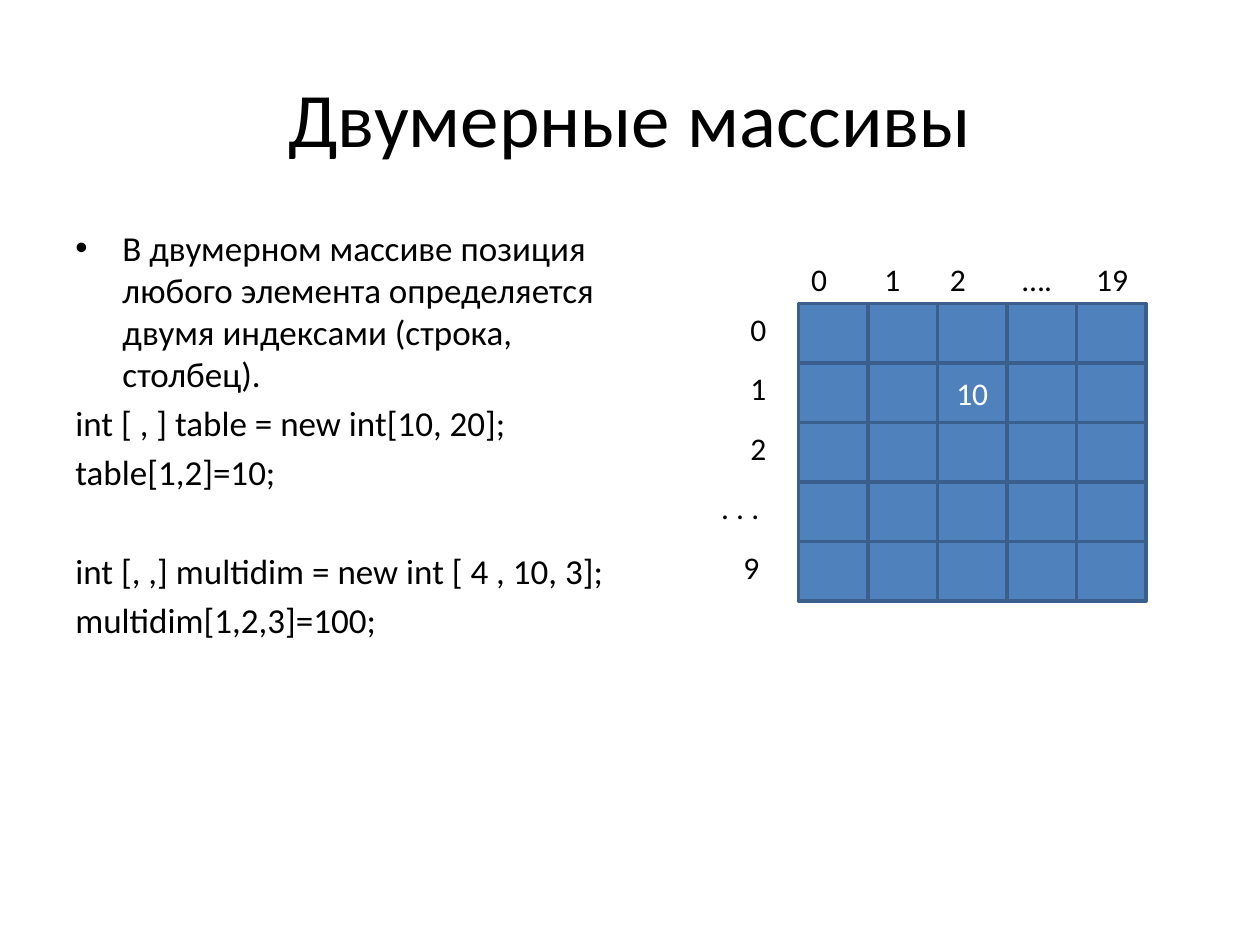
import pptx
import pptx.util
import pptx.dml.color
import pptx.enum.shapes
import pptx.enum.text
import pptx.oxml.ns
import lxml.etree

Cm, Pt = pptx.util.Cm, pptx.util.Pt
RGBColor = pptx.dml.color.RGBColor
ALIGN = pptx.enum.text.PP_ALIGN
ANCHOR = pptx.enum.text.MSO_ANCHOR
qn = pptx.oxml.ns.qn

BLACK = RGBColor(0x00, 0x00, 0x00)
WHITE = RGBColor(0xFF, 0xFF, 0xFF)
BLUE = RGBColor(0x4F, 0x81, 0xBD)
DARK_BLUE = RGBColor(0x3A, 0x5F, 0x8C)


class SlideBuilder:
    """Holds the text style and the current slide."""

    font = "Calibri"

    def __init__(self, prs):
        """Start a title-only slide."""
        self.s = prs.slides.add_slide(prs.slide_layouts[5])

    def run(self, p, text, size=18, color=BLACK):
        """Add one styled run to a paragraph."""
        r = p.add_run()
        r.text = text
        r.font.name = self.font
        r.font.size = Pt(size)
        r.font.color.rgb = color

    def title(self, text, x, y, w, h):
        """Place and fill the title placeholder."""
        sp = self.s.shapes.title
        sp.left, sp.top, sp.width, sp.height = Cm(x), Cm(y), Cm(w), Cm(h)
        tf = sp.text_frame
        tf.vertical_anchor = ANCHOR.MIDDLE
        p = tf.paragraphs[0]
        p.alignment = ALIGN.CENTER
        self.run(p, text, 44)

    def frame(self, x, y, w, h):
        """Add a wrapping text box and return its text frame."""
        tf = self.s.shapes.add_textbox(Cm(x), Cm(y), Cm(w), Cm(h)).text_frame
        tf.word_wrap = True
        return tf

    def body(self, lines, x, y, w, h):
        """Add paragraphs given as (text, space before, bulleted)."""
        tf = self.frame(x, y, w, h)
        for i, (text, before, bulleted) in enumerate(lines):
            p = tf.add_paragraph() if i else tf.paragraphs[0]
            p.space_before = Pt(before)
            pPr = p._p.get_or_add_pPr()
            pPr.set("marL", str(Cm(0.95)))
            pPr.set("indent", str(-Cm(0.95)))
            if bulleted:
                lxml.etree.SubElement(pPr, qn("a:buFont")).set("typeface", "Arial")
                lxml.etree.SubElement(pPr, qn("a:buChar")).set("char", "•")
            else:
                lxml.etree.SubElement(pPr, qn("a:buNone"))
            self.run(p, text, 20)

    def label(self, text, x, y, w, h, align=ALIGN.LEFT, tabs=()):
        """Add a one-line label, with optional tab stops."""
        p = self.frame(x, y, w, h).paragraphs[0]
        p.alignment = align
        if tabs:
            tab_list = lxml.etree.SubElement(p._p.get_or_add_pPr(), qn("a:tabLst"))
            for pos in tabs:
                tab = lxml.etree.SubElement(tab_list, qn("a:tab"))
                tab.set("pos", str(Cm(pos)))
                tab.set("algn", "l")
        self.run(p, text)

    def grid(self, rows, cols, x, y, w, h, values):
        """Add a group of equal cells; values maps (row, column) to text."""
        group = self.s.shapes.add_group_shape()
        for row in range(rows):
            for col in range(cols):
                sp = group.shapes.add_shape(
                    pptx.enum.shapes.MSO_SHAPE.RECTANGLE,
                    Cm(x + col * w), Cm(y + row * h), Cm(w), Cm(h))
                sp.shadow.inherit = False
                sp.fill.solid()
                sp.fill.fore_color.rgb = BLUE
                sp.line.color.rgb = DARK_BLUE
                sp.line.width = Pt(2)
                if (row, col) in values:
                    tf = sp.text_frame
                    tf.vertical_anchor = ANCHOR.MIDDLE
                    p = tf.paragraphs[0]
                    p.alignment = ALIGN.CENTER
                    self.run(p, values[row, col], color=WHITE)


def main():
    """Build and save the slide."""
    prs = pptx.Presentation()
    prs.slide_width, prs.slide_height = Cm(25.4), Cm(19.05)
    slide = SlideBuilder(prs)
    slide.title("Двумерные массивы", 1.27, 0.76, 22.86, 3.18)
    slide.body([
        ("В двумерном массиве позиция любого элемента определяется "
         "двумя индексами (строка, столбец).", 4, True),
        ("int [ , ] table = new int[10, 20];", 4, False),
        ("table[1,2]=10;", 4, False),
        ("int [, ,] multidim = new int [ 4 , 10, 3];", 32.4, False),
        ("multidim[1,2,3]=100;", 4, False),
    ], 1.27, 4.45, 11.23, 12.57)

    left, top, cell_w, cell_h = 16.1, 6.12, 1.4, 1.2
    slide.grid(5, 5, left, top, cell_w, cell_h, {(1, 2): "10"})
    slide.label("0\t1\t2\t….\t19", left, top - 1, 5 * cell_w, 1.02,
                tabs=(1.48, 2.8, 4.26, 5.75))
    for row, text in enumerate(("0", "1", "2", ". . . ", "9 ")):
        slide.label(text, 14.1, top + row * cell_h, 1.6, 1.02, ALIGN.RIGHT)
    prs.save("out.pptx")


main()
